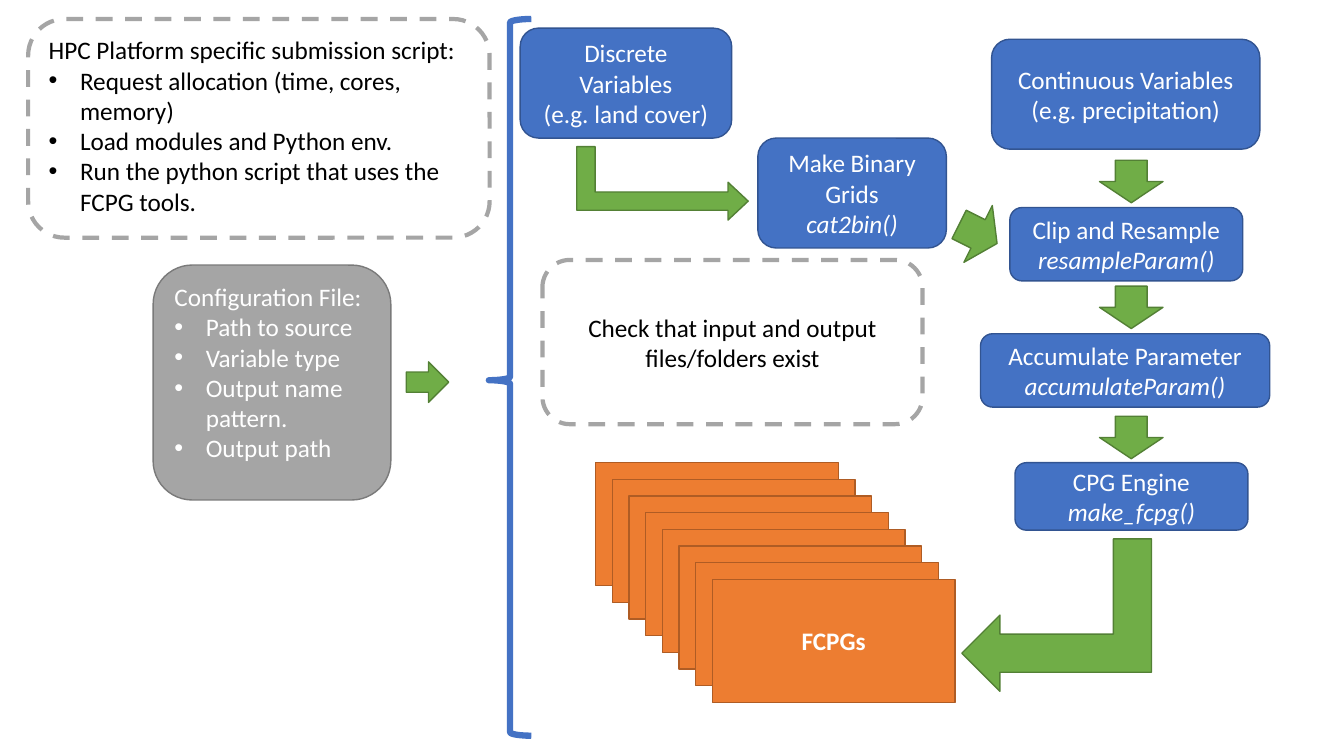
from pptx import Presentation
from pptx import util as u
from pptx.dml.color import RGBColor
from pptx.enum import dml, shapes, text
from pptx.oxml.ns import qn
from lxml import etree

COLORS = {
    "blue": "4472C4", "blue_edge": "325491",
    "green": "70AD47", "green_edge": "538035",
    "orange": "ED7D31", "orange_edge": "AF5C24",
    "gray": "A5A5A5", "gray_edge": "7A7A7A",
    "white": "FFFFFF", "black": "000000",
}
FONT = "Calibri"
KIND = shapes.MSO_SHAPE

STEPS = [
    ("Discrete Variables", "(e.g. land cover)", False, (13.11, 0.71, 5.33, 2.77)),
    ("Make Binary Grids", "cat2bin()", True, (19.1, 3.48, 4.75, 2.77)),
    ("Continuous Variables", "(e.g. precipitation)", False, (24.99, 0.99, 6.76, 2.77)),
    ("Clip and Resample", "resampleParam()", True, (25.45, 5.23, 5.87, 1.85)),
    ("Accumulate Parameter", "accumulateParam()", True, (24.71, 8.41, 7.29, 1.85)),
    ("CPG Engine", "make_fcpg()", True, (25.58, 11.66, 5.87, 1.7)),
]
SUBMISSION = ("HPC Platform specific submission script:", [
    "Request allocation (time, cores, memory)",
    "Load modules and Python env.",
    "Run the python script that uses the FCPG tools.",
])
CONFIGURATION = ("Configuration File:", [
    "Path to source", "Variable type", "Output name pattern.", "Output path",
])
CHECK = "Check that input and output files/folders exist"
OUTPUT = "FCPGs"

ARROW_SIZE = (1.6, 1.07)
ARROW_LEFT = 27.71
ARROW_TOPS = [4.04, 7.21, 10.49]
ARROWS = [(KIND.DOWN_ARROW, (ARROW_LEFT, top, *ARROW_SIZE), 0, ()) for top in ARROW_TOPS] + [
    (KIND.DOWN_ARROW, (23.85, 5.36, *ARROW_SIZE), 296.6, ()),
    (KIND.RIGHT_ARROW, (10.24, 9.12, 1.07, 1.02), 0, ()),
    (KIND.BENT_UP_ARROW, (15.77, 2.46, 1.85, 4.32), 90, (0.25, 0.257, 0.275)),
]
RETURN_ARROW = (24.71, 13.11, 3.84, 4.78)
CARD_COUNT, CARD_STEP = 8, 0.42
CARD_LEFT, CARD_TOP, CARD_WIDTH, CARD_HEIGHT = 15.01, 11.66, 6.12, 3.1
BULLET_INDENT = u.Cm(0.79)

deck = Presentation()
deck.slide_width, deck.slide_height = u.Cm(33.87), u.Cm(19.05)
slide = deck.slides.add_slide(deck.slide_layouts[6])


def rgb(name):
    return RGBColor.from_string(COLORS[name])


def add_part(kind, box, fill, edge, weight=1, dashed=False):
    part = slide.shapes.add_shape(kind, *map(u.Cm, box))
    part.shadow.inherit = False
    if fill:
        part.fill.solid()
        part.fill.fore_color.rgb = rgb(fill)
    else:
        part.fill.background()
    part.line.color.rgb = rgb(edge)
    part.line.width = u.Pt(weight)
    if dashed:
        part.line.dash_style = dml.MSO_LINE.DASH
    return part


def write(part, lines, color, centred=True):
    frame = part.text_frame
    frame.word_wrap = True
    frame.vertical_anchor = text.MSO_ANCHOR.MIDDLE if centred else text.MSO_ANCHOR.TOP
    for i, (words, style) in enumerate(lines):
        paragraph = frame.paragraphs[0] if i == 0 else frame.add_paragraph()
        paragraph.alignment = text.PP_ALIGN.CENTER if centred else text.PP_ALIGN.LEFT
        run = paragraph.add_run()
        run.text = words
        run.font.name = FONT
        run.font.size = u.Pt(18)
        run.font.color.rgb = rgb(color)
        run.font.italic = style == "italic"
        run.font.bold = style == "bold"
        if style == "bullet":
            props = paragraph._p.get_or_add_pPr()
            props.set("marL", str(BULLET_INDENT))
            props.set("indent", str(-BULLET_INDENT))
            etree.SubElement(props, qn("a:buFont")).set("typeface", "Arial")
            etree.SubElement(props, qn("a:buChar")).set("char", "•")


def write_list(part, content, color):
    heading, items = content
    write(part, [(heading, None)] + [(item, "bullet") for item in items], color, centred=False)


for title, detail, is_function, box in STEPS:
    step = add_part(KIND.ROUNDED_RECTANGLE, box, "blue", "blue_edge")
    write(step, [(title, None), (detail, "italic" if is_function else None)], "white")

for kind, box, rotation, adjustments in ARROWS:
    arrow = add_part(kind, box, "green", "green_edge")
    arrow.rotation = rotation
    for i, value in enumerate(adjustments):
        arrow.adjustments[i] = value

return_arrow = add_part(KIND.BENT_UP_ARROW, RETURN_ARROW, "green", "green_edge")
return_arrow.rotation = 90
return_arrow.element.spPr.find(qn("a:xfrm")).set("flipV", "1")

for i in range(CARD_COUNT):
    offset = i * CARD_STEP
    card = add_part(KIND.RECTANGLE,
                    (CARD_LEFT + offset, CARD_TOP + offset, CARD_WIDTH, CARD_HEIGHT),
                    "orange", "orange_edge")
write(card, [(OUTPUT, "bold")], "white")

brace = add_part(KIND.LEFT_BRACE, (12.32, 0.48, 1.07, 18.06), None, "blue", 4.5)
brace.adjustments[0], brace.adjustments[1] = 0.083, 0.504

configuration = add_part(KIND.ROUNDED_RECTANGLE, (3.86, 6.68, 5.99, 5.92), "gray", "gray_edge")
write_list(configuration, CONFIGURATION, "white")

submission = add_part(KIND.ROUNDED_RECTANGLE, (0.71, 0.48, 11.63, 5.51), "white", "gray", 3, True)
write_list(submission, SUBMISSION, "black")

check = add_part(KIND.ROUNDED_RECTANGLE, (13.67, 6.55, 9.58, 4.14), "white", "gray", 3, True)
write(check, [(CHECK, None)], "black")

deck.save("out.pptx")
